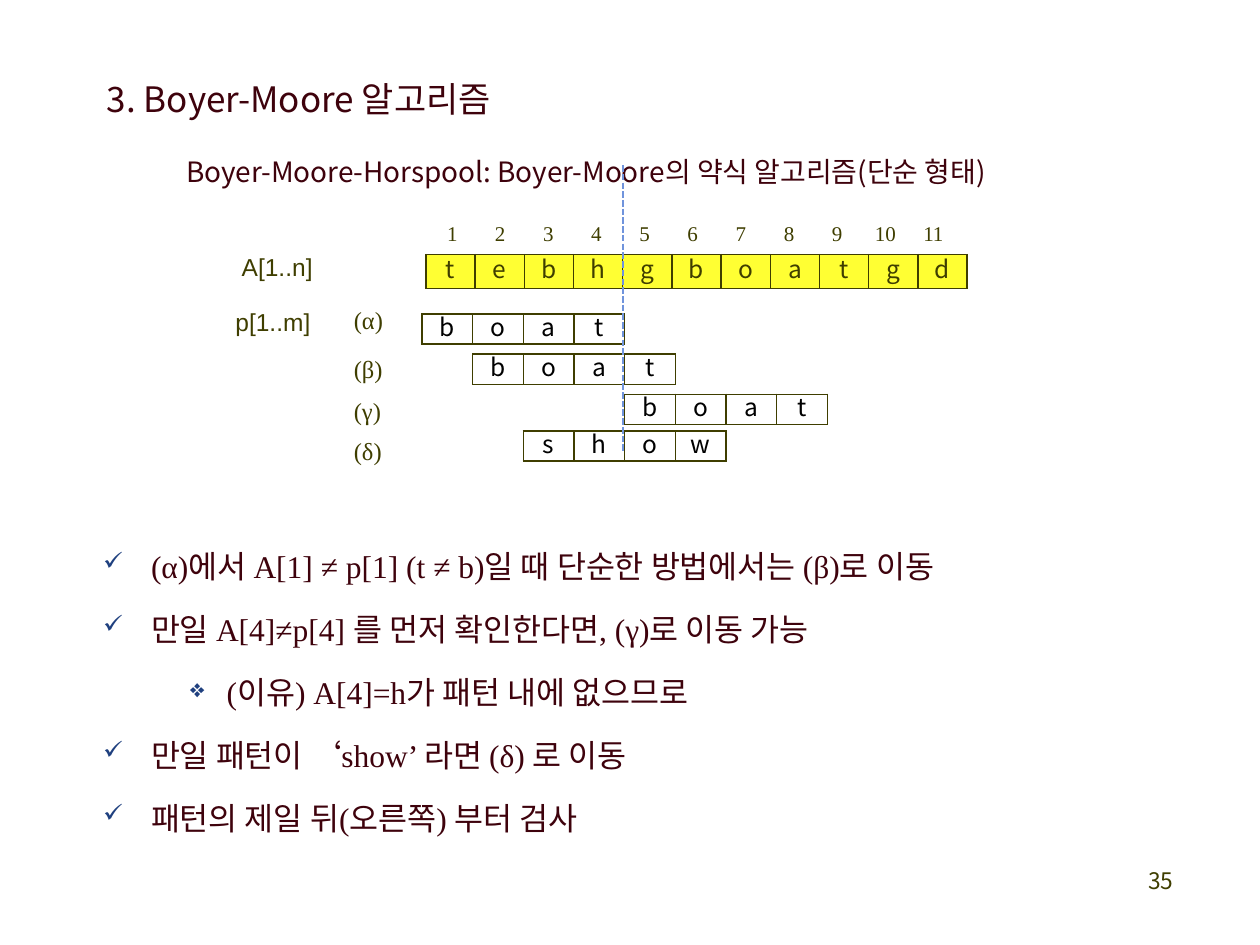
import pptx
import pptx.dml.color
import pptx.enum.dml
import pptx.enum.shapes
import pptx.enum.text
import pptx.oxml
import pptx.oxml.ns
import pptx.util
from lxml import etree

# The slide is a grid of 100 columns by 75 rows
UNIT = pptx.util.Inches(0.1)
COLORS = {"olive": "3F3E00", "maroon": "3E020C", "black": "000000",
          "yellow": "FFFF33", "bullet": "1F407F", "guide": "7094DC"}
SANS, SERIF, KOREAN = "Arial", "Times New Roman", "Noto Sans CJK KR"
ALIGN = pptx.enum.text.PP_ALIGN
qn = pptx.oxml.ns.qn


def grid(*values):
    return [round(value * UNIT) for value in values]


def rgb(name):
    return pptx.dml.color.RGBColor.from_string(COLORS[name])


def add_element(parent, tag, **attributes):
    return etree.SubElement(parent, qn(tag), {k: str(v) for k, v in attributes.items()})


def style(paragraph, font, size, color, spacing=0.9, align=ALIGN.LEFT):
    paragraph.alignment = align
    paragraph.line_spacing = spacing
    paragraph.font.name = font
    paragraph.font.size = pptx.util.Pt(size)
    paragraph.font.color.rgb = rgb(color)
    defaults = paragraph._p.pPr.find(qn("a:defRPr"))
    defaults.find(qn("a:latin")).addnext(
        pptx.oxml.parse_xml(f'<a:ea {pptx.oxml.ns.nsdecls("a")} typeface="{KOREAN}"/>'))


def add_text(slide, box, text, font, size, color, wrap=False, **options):
    shape = slide.shapes.add_textbox(*grid(*box))
    shape.text_frame.word_wrap = wrap
    paragraph = shape.text_frame.paragraphs[0]
    paragraph.text = text
    style(paragraph, font, size, color, **options)
    return paragraph


def add_letters(slide, box, letters, color, fill=None):
    """A one-row table with one letter in each cell."""
    table = slide.shapes.add_table(1, len(letters), *grid(*box)).table
    table.first_row = table.horz_banding = False
    table.rows[0].height = grid(box[3])[0]
    for column, letter in enumerate(letters):
        table.columns[column].width = grid(box[2] / len(letters))[0]
        cell = table.cell(0, column)
        cell.margin_left = cell.margin_right = cell.margin_top = pptx.util.Inches(0.01)
        cell.margin_bottom = 0
        cell.vertical_anchor = pptx.enum.text.MSO_ANCHOR.MIDDLE
        cell.text = letter
        style(cell.text_frame.paragraphs[0], KOREAN, 14, color,
              spacing=pptx.util.Pt(16), align=ALIGN.CENTER)
        for side in "LRTB":
            border = add_element(cell._tc.get_or_add_tcPr(), f"a:ln{side}", w=pptx.util.Pt(1))
            add_element(add_element(border, "a:solidFill"), "a:srgbClr", val=COLORS["olive"])
        if fill:
            cell.fill.solid()
            cell.fill.fore_color.rgb = rgb(fill)
        else:
            cell.fill.background()


def add_index_row(slide, box, count, pitch):
    """Position numbers, centred on evenly spaced tab stops."""
    numbers = "\t".join(str(number) for number in range(1, count + 1))
    paragraph = add_text(slide, box, numbers, SERIF, 12, "olive", wrap=True)
    tabs = etree.Element(qn("a:tabLst"))
    for step in range(1, count):
        add_element(tabs, "a:tab", pos=grid(0.4 + step * pitch)[0], algn="ctr")
    paragraph._p.pPr.find(qn("a:defRPr")).addprevious(tabs)


def add_matching(slide, box):
    """The text array above the shifted patterns."""
    left, top, width, height = box
    cell = 4.02
    first = left + 15.8

    # Text array
    add_index_row(slide, (left + 16.8, top, 45.4, 2.8), 11, 3.82)
    add_text(slide, (left + 0.5, top + 2.6, 7.7, 3.1), "A[1..n]", SANS, 14, "olive")
    add_letters(slide, (left + 16.1, top + 3, 43, 2.7), "tebhgboatgd", "olive", "yellow")

    # Patterns: name, word, cells shifted, top of label, top of cells
    add_text(slide, (left, top + 6.9, 8, 3.1), "p[1..m]", SANS, 14, "olive")
    patterns = [("(α)", "boat", 0, 6.8, 7.7), ("(β)", "boat", 1, 10.7, 10.9),
                ("(γ)", "boat", 4, 14, 14.1), ("(δ)", "show", 2, 17.2, 17)]
    for name, word, shift, label_top, cells_top in patterns:
        add_text(slide, (left + 9.4, top + label_top, 4.4, 3.1), name, SERIF, 14, "olive")
        add_letters(slide, (first + shift * cell, top + cells_top, 4 * cell, 2.4),
                    word, "black")

    # Dashed guide after the fourth letter
    guide_x = first + 4 * cell - 0.1
    guide = slide.shapes.add_connector(
        pptx.enum.shapes.MSO_CONNECTOR.STRAIGHT,
        *grid(guide_x, top - 4.1, guide_x, top + height))
    guide.line.color.rgb = rgb("guide")
    guide.line.width = pptx.util.Pt(1.25)
    guide.line.dash_style = pptx.enum.dml.MSO_LINE.SQUARE_DOT
    add_element(guide._element.spPr, "a:effectLst")


def add_explanation(slide, box):
    """Bulleted remarks, each with its level."""
    remarks = [(0, "(α)에서 A[1] ≠ p[1] (t ≠ b)일 때 단순한 방법에서는 (β)로 이동"),
               (0, "만일 A[4]≠p[4] 를 먼저 확인한다면, (γ)로 이동 가능"),
               (1, "(이유) A[4]=h가 패턴 내에 없으므로"),
               (0, "만일 패턴이 ‘show’ 라면 (δ) 로 이동"),
               (0, "패턴의 제일 뒤(오른쪽) 부터 검사")]
    levels = [("✓", 3.8, -3.8), ("❖", 9.8, -2.9)]
    frame = slide.shapes.add_textbox(*grid(*box)).text_frame
    frame.word_wrap = True
    for number, (level, text) in enumerate(remarks):
        paragraph = frame.add_paragraph() if number else frame.paragraphs[0]
        paragraph.text = text
        mark, margin, indent = levels[level]
        properties = paragraph._p.get_or_add_pPr()
        properties.set("marL", str(grid(margin)[0]))
        properties.set("indent", str(grid(indent)[0]))
        add_element(add_element(properties, "a:buClr"), "a:srgbClr", val=COLORS["bullet"])
        add_element(properties, "a:buSzPct", val=80000)
        add_element(properties, "a:buChar", char=mark)
        style(paragraph, SERIF, 18, "maroon", spacing=pptx.util.Pt(32.4))
        if number:
            paragraph.space_before = pptx.util.Pt(3.6)


def add_headings(slide, box):
    left, top, width, height = box
    add_text(slide, (left, top, 33.9, 4), "3. Boyer-Moore 알고리즘", KOREAN, 20, "maroon")
    add_text(slide, (left + 6.3, top + 4.8, width - 6.3, 4.2),
             "Boyer-Moore-Horspool: Boyer-Moore의 약식 알고리즘(단순 형태)",
             KOREAN, 16, "maroon", spacing=pptx.util.Pt(26))


def main():
    presentation = pptx.Presentation()
    presentation.slide_width, presentation.slide_height = grid(100, 75)
    slide = presentation.slides.add_slide(presentation.slide_layouts[6])
    add_headings(slide, (7.5, 6, 74.8, 9))
    add_matching(slide, (17.7, 17.2, 62.2, 18.7))
    add_explanation(slide, (7.2, 41.4, 85.8, 26.1))
    # Page number
    add_text(slide, (73.3, 68.3, 20.8, 5), "35", KOREAN, 13, "olive",
             wrap=True, spacing=1.0, align=ALIGN.RIGHT)
    presentation.save("out.pptx")


if __name__ == "__main__":
    main()
